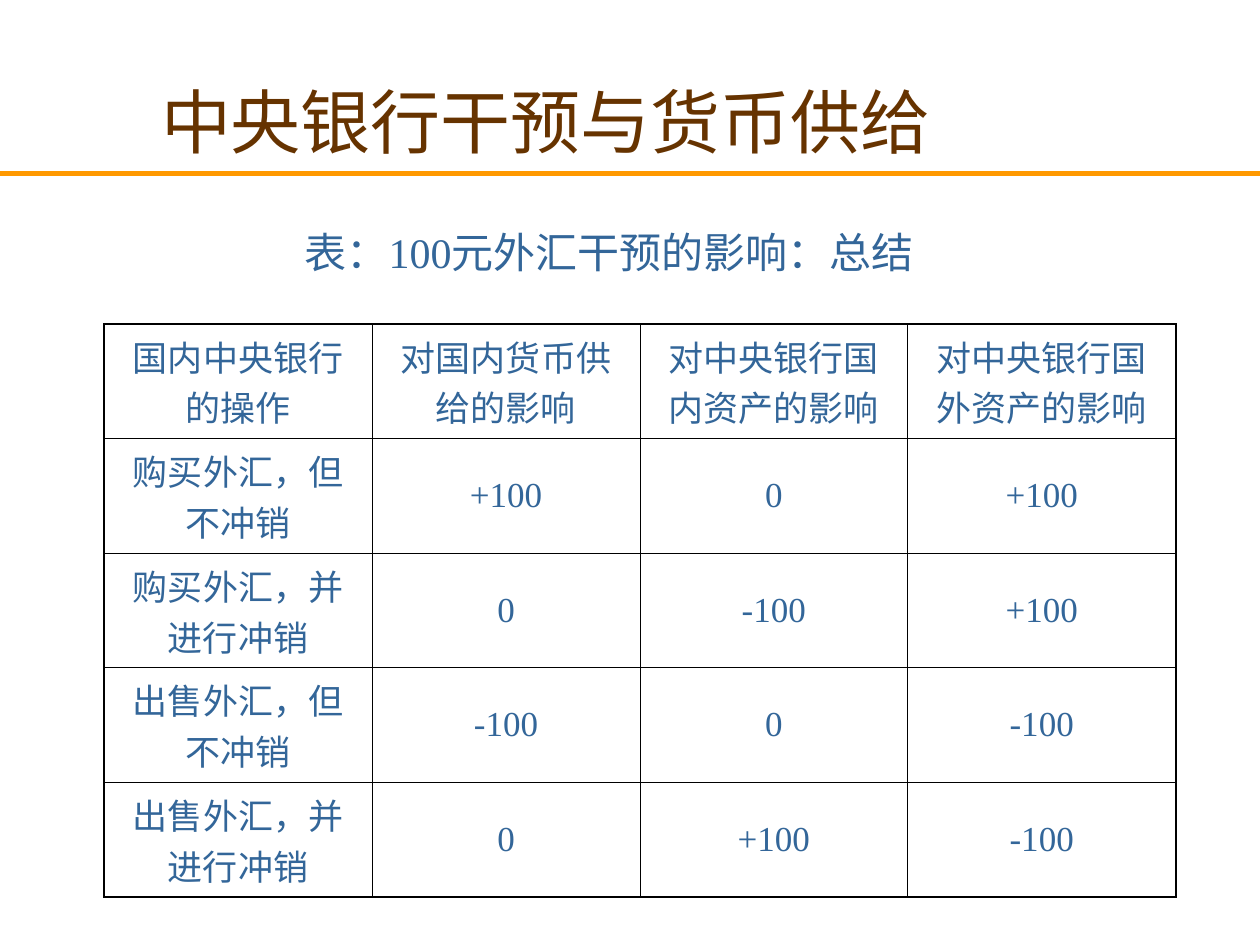
"""Build a slide on how central bank intervention affects the money supply."""
import pptx
import pptx.dml.color
import pptx.enum.text
import pptx.oxml
import pptx.oxml.ns
import pptx.util

Cm, Pt = pptx.util.Cm, pptx.util.Pt
COLORS = {"title": "663300", "body": "336699", "rule": "FF9900", "border": "000000"}
FONT = "Times New Roman"
THIN, THICK = 0.45, 1.08
COLUMN_WIDTH, ROW_HEIGHT = 5.4, 2.31
EFFECTS = [
    ["国内中央银行的操作", "对国内货币供给的影响", "对中央银行国内资产的影响", "对中央银行国外资产的影响"],
    ["购买外汇，但不冲销", "+100", "0", "+100"],
    ["购买外汇，并进行冲销", "0", "-100", "+100"],
    ["出售外汇，但不冲销", "-100", "0", "-100"],
    ["出售外汇，并进行冲销", "0", "+100", "-100"],
]


def rgb(name):
    """Return the named colour."""
    return pptx.dml.color.RGBColor.from_string(COLORS[name])


def write_centred(frame, wording, size, color):
    """Write one centred paragraph in the slide's font."""
    frame.word_wrap = True
    paragraph = frame.paragraphs[0]
    paragraph.alignment = pptx.enum.text.PP_ALIGN.CENTER
    run = paragraph.add_run()
    run.text = wording
    for attribute, value in {"name": FONT, "size": Pt(size), "bold": False}.items():
        setattr(run.font, attribute, value)
    run.font.color.rgb = rgb(color)


def add_heading(slide, wording, box, size, color, anchor):
    """Add a centred text box; box is left, top, width, height in cm."""
    heading = slide.shapes.add_textbox(*map(Cm, box))
    heading.text_frame.vertical_anchor = anchor
    write_centred(heading.text_frame, wording, size, color)


def add_rule(slide, top, width):
    """Draw the horizontal rule under the title."""
    rule = slide.shapes.add_connector(
        pptx.enum.shapes.MSO_CONNECTOR.STRAIGHT, 0, Cm(top), width, Cm(top))
    rule.line.color.rgb = rgb("rule")
    rule.line.width = Pt(3)
    rule._element.spPr.append(pptx.oxml.parse_xml(
        f'<a:effectLst {pptx.oxml.ns.nsdecls("a")}/>'))


def set_borders(cell, widths):
    """Set the cell's borders from a dict of side letter to width in points."""
    properties = cell._tc.get_or_add_tcPr()
    for position, (side, width) in enumerate(widths.items()):
        properties.insert(position, pptx.oxml.parse_xml(
            f'<a:ln{side} {pptx.oxml.ns.nsdecls("a")} w="{Pt(width)}"><a:solidFill>'
            f'<a:srgbClr val="{COLORS["border"]}"/></a:solidFill></a:ln{side}>'))


def add_effects_table(slide, left, top):
    """Add the table of effects with a thicker outer frame."""
    row_count, column_count = len(EFFECTS), len(EFFECTS[0])
    table = slide.shapes.add_table(
        row_count, column_count, Cm(left), Cm(top),
        Cm(COLUMN_WIDTH * column_count), Cm(ROW_HEIGHT * row_count)).table
    table.first_row = table.horz_banding = False
    for column in table.columns:
        column.width = Cm(COLUMN_WIDTH)
    for r, effects in enumerate(EFFECTS):
        table.rows[r].height = Cm(ROW_HEIGHT)
        for c, wording in enumerate(effects):
            cell = table.cell(r, c)
            cell.vertical_anchor = pptx.enum.text.MSO_ANCHOR.MIDDLE
            cell.fill.background()
            write_centred(cell.text_frame, wording, 20, "body")
            outer = {"L": c == 0, "R": c == column_count - 1,
                     "T": r == 0, "B": r == row_count - 1}
            set_borders(cell, {side: THICK if edge else THIN for side, edge in outer.items()})


def main():
    """Build and save the slide."""
    deck = pptx.Presentation()
    deck.slide_width, deck.slide_height = Cm(25.4), Cm(19.05)
    slide = deck.slides.add_slide(deck.slide_layouts[6])
    add_rule(slide, 3.5, deck.slide_width)
    add_heading(slide, "中央银行干预与货币供给", (0.2, 0.84, 21.6, 3.18), 40, "title",
                pptx.enum.text.MSO_ANCHOR.MIDDLE)
    add_heading(slide, "表：100元外汇干预的影响：总结", (1.27, 4.45, 22.02, 1.47), 24, "body",
                pptx.enum.text.MSO_ANCHOR.TOP)
    add_effects_table(slide, 2.1, 6.53)
    deck.save("out.pptx")


if __name__ == "__main__":
    main()
